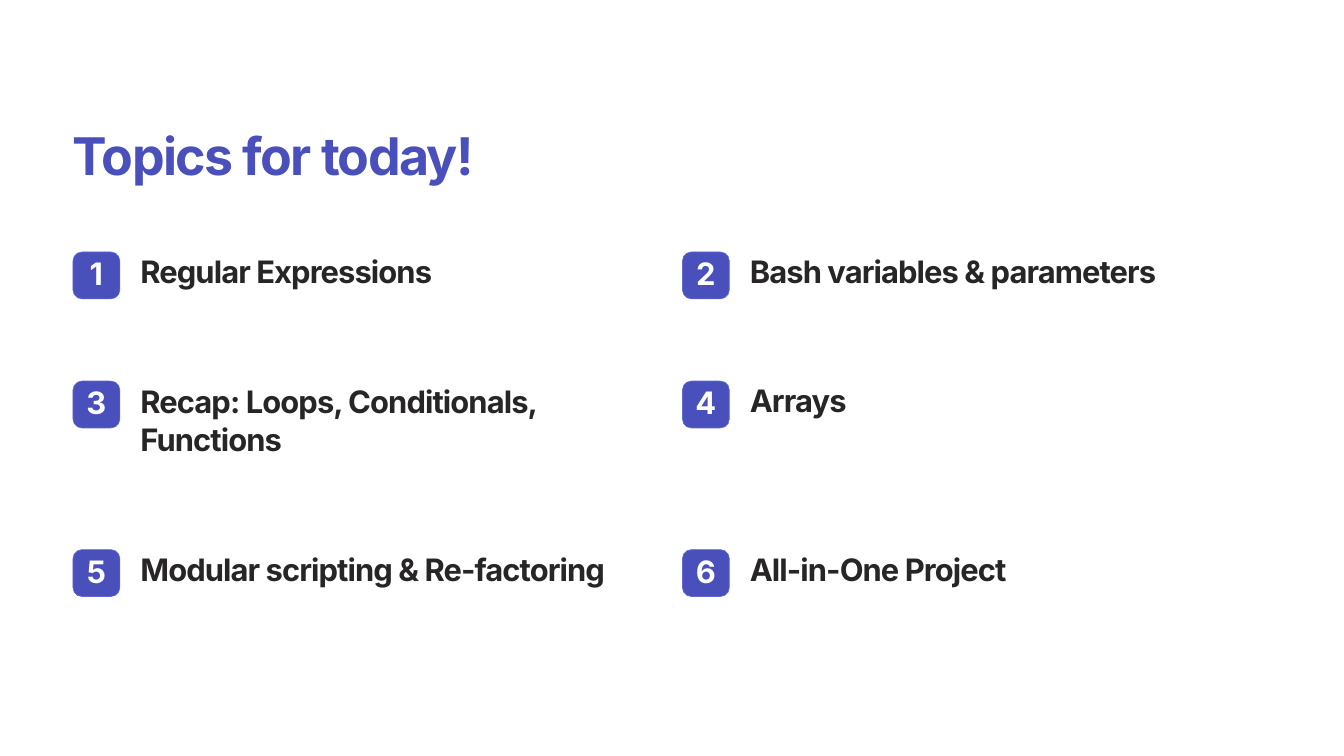
from pptx import Presentation
from pptx.dml.color import RGBColor
from pptx.enum.shapes import MSO_SHAPE
from pptx.enum.text import MSO_ANCHOR, PP_ALIGN
from pptx.util import Pt

ROUNDED = MSO_SHAPE.ROUNDED_RECTANGLE
MIDDLE = MSO_ANCHOR.MIDDLE
LEFT, CENTER = PP_ALIGN.LEFT, PP_ALIGN.CENTER

# Content: rows of (topic, lines it takes)
HEADING = "Topics for today!"
TOPIC_ROWS = [
    [("Regular Expressions", 1), ("Bash variables & parameters", 1)],
    [("Recap: Loops, Conditionals, Functions", 2), ("Arrays", 1)],
    [("Modular scripting & Re-factoring", 1), ("All-in-One Project", 1)],
]

# Theme: each style is (size, line spacing, letter spacing in 1/100 pt, colour)
THEME = {
    "font": "Inter",
    "background": "FFFFFF",
    "badge": "4950BC",
    "badge_edge": "6269D5",
    "heading": (55.6, 69.4, -170, "4950BC"),
    "topic": (33.1, 41.2, -100, "272525"),
    "number": (33.1, 33.1, -100, "FFFFFF"),
}

# Layout in points
SLIDE_W, SLIDE_H = 1440, 810
MARGIN, FIRST_ROW = 78.2, 270
COLUMN_STEP, TEXT_W = 653, 558
BADGE, BADGE_RADIUS, BADGE_EDGE = 50.2, 9.6, 0.72
TOPIC_INDENT, TOPIC_RISE = 72.2, 1.2
LINE_H, ROW_GAP = 42.3, 96


def rgb(name):
    return RGBColor.from_string(name)


def write(box, text, style, align=LEFT, top_inset=0):
    size, line, tracking, colour = THEME[style]
    frame = box.text_frame
    frame.word_wrap = True
    frame.vertical_anchor = MIDDLE
    frame.margin_left = frame.margin_right = frame.margin_bottom = 0
    frame.margin_top = Pt(top_inset)
    frame.text = text
    paragraph = frame.paragraphs[0]
    paragraph.alignment = align
    paragraph.line_spacing = Pt(line)
    run = paragraph.runs[0]
    run.font.name = THEME["font"]
    run.font.size = Pt(size)
    run.font.bold = True
    run.font.color.rgb = rgb(colour)
    run.font._element.set("spc", str(tracking))


def add_text(slide, text, style, left, top, height):
    box = slide.shapes.add_textbox(Pt(left), Pt(top), Pt(TEXT_W), Pt(height))
    write(box, text, style)


def add_badge(slide, number, left, top):
    badge = slide.shapes.add_shape(ROUNDED, Pt(left), Pt(top), Pt(BADGE), Pt(BADGE))
    badge.adjustments[0] = BADGE_RADIUS / BADGE
    badge.shadow.inherit = False
    badge.fill.solid()
    badge.fill.fore_color.rgb = rgb(THEME["badge"])
    badge.line.color.rgb = rgb(THEME["badge_edge"])
    badge.line.width = Pt(BADGE_EDGE)
    write(badge, str(number), "number", CENTER, top_inset=2)


def main():
    deck = Presentation()
    deck.slide_width, deck.slide_height = Pt(SLIDE_W), Pt(SLIDE_H)
    slide = deck.slides.add_slide(deck.slide_layouts[6])
    slide.background.fill.solid()
    slide.background.fill.fore_color.rgb = rgb(THEME["background"])

    # Heading
    add_text(slide, HEADING, "heading", MARGIN, 129, 71)

    # Numbered topics; the tallest topic sets the height of its row
    top, number = FIRST_ROW, 1
    for row in TOPIC_ROWS:
        for column, (topic, lines) in enumerate(row):
            left = MARGIN + column * COLUMN_STEP
            add_badge(slide, number, left, top)
            add_text(slide, topic, "topic", left + TOPIC_INDENT,
                     top - TOPIC_RISE, lines * LINE_H)
            number += 1
        top += max(lines for _, lines in row) * LINE_H + ROW_GAP

    deck.save("out.pptx")


if __name__ == "__main__":
    main()
